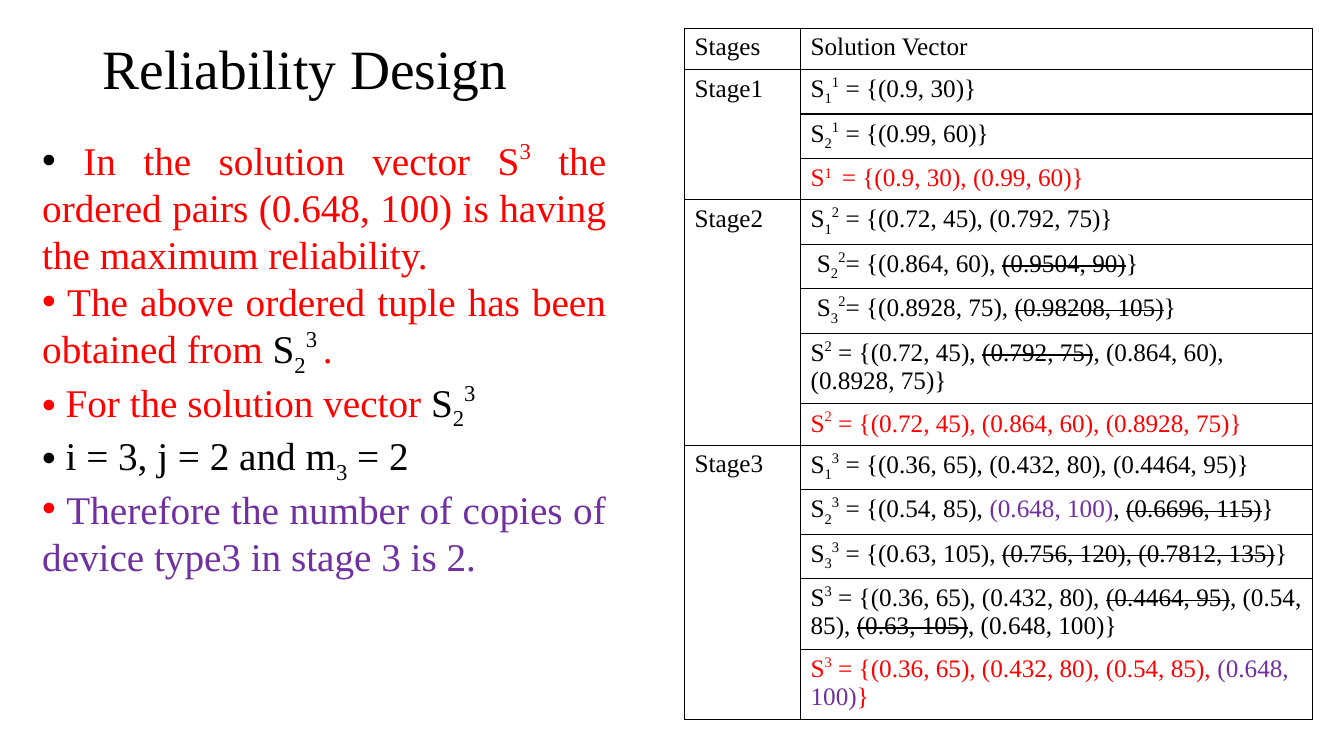
import pptx
import pptx.dml.color
import pptx.enum.text
import pptx.oxml.ns
import pptx.util
from lxml import etree

Inches = pptx.util.Inches
FONT = "Times New Roman"
COLORS = {"black": "000000", "red": "FF0000", "purple": "7030A0"}
BASELINES = {"sub": "-25000", "sup": "40000", "raised": "30000"}


def symbol(lower, upper):
    return [("S",), (lower, "black", "sub"), (upper, "black", "sup")]


def total(stage, color="black"):
    return [("S", color), (stage, color, "sup")]


TITLE = [("Reliability Design",)]

BULLETS = [
    [(" ",), ("In the solution vector S", "red"), ("3", "red", "sup"),
     (" the ordered pairs (0.648, 100) is having the maximum reliability.", "red")],
    [(" The above ordered tuple has been obtained from ", "red"),
     *symbol("2", "3 "), (". ", "red")],
    [(" For the solution vector ", "red"), *symbol("2", "3 ")],
    [(" i = 3, j = 2 and m",), ("3", "black", "sub"), (" = 2",)],
    [(" ", "red"),
     ("Therefore the number of copies of device type3 in stage 3 is 2.", "purple")],
]

HEADER = ("Stages", "Solution Vector")
STAGES = [
    ("Stage1", [
        [*symbol("1", "1"), (" = {(0.9, 30)}",)],
        [*symbol("2", "1"), (" = {(0.99, 60)}",)],
        [("S", "red"), ("1 ", "red", "raised"), (" = {(0.9, 30), (0.99, 60)}", "red")],
    ]),
    ("Stage2", [
        [*symbol("1", "2"), (" = {(0.72, 45), (0.792, 75)}",)],
        [(" ", "red"), *symbol("2", "2"), ("= {(0.864, 60), ",),
         ("(0.9504, 90)", "black", "strike"), ("}",)],
        [(" ", "red"), *symbol("3", "2"), ("= {(0.8928, 75), ",),
         ("(0.98208, 105)", "black", "strike"), ("}",)],
        [*total("2"), (" = {(0.72, 45), ",), ("(0.792, 75)", "black", "strike"),
         (", (0.864, 60), (0.8928, 75)}",)],
        [*total("2", "red"), (" = {(0.72, 45), (0.864, 60), (0.8928, 75)}", "red")],
    ]),
    ("Stage3", [
        [*symbol("1", "3"), (" = {(0.36, 65), (0.432, 80), (0.4464, 95)}",)],
        [*symbol("2", "3"), (" = {(0.54, 85), ",), ("(0.648, 100)", "purple"), (", ",),
         ("(0.6696, 115)", "black", "strike"), ("}",)],
        [*symbol("3", "3"), (" = {(0.63, 105), ",),
         ("(0.756, 120), (0.7812, 135)", "black", "strike"), ("}",)],
        [*total("3"), (" = {(0.36, 65), (0.432, 80), ",),
         ("(0.4464, 95)", "black", "strike"), (", (0.54, 85), ",),
         ("(0.63, 105)", "black", "strike"), (", (0.648, 100)}",)],
        [*total("3", "red"), (" = {(0.36, 65), (0.432, 80), (0.54, 85), ", "red"),
         ("(0.648, 100)", "purple"), ("}", "red")],
    ]),
]
COLUMN_WIDTHS = (1.15, 5.08)
ROW_HEIGHT = 0.41


def add_child(parent, tag, **attributes):
    return etree.SubElement(parent, pptx.oxml.ns.qn(tag), attributes)


def write_runs(para, runs, size):
    for text, color, style in ((*run, "black", "")[:3] if len(run) == 1
                               else (*run, "")[:3] for run in runs):
        span = para.add_run()
        span.text = text
        span.font.name = FONT
        span.font.size = pptx.util.Pt(size)
        span.font.color.rgb = pptx.dml.color.RGBColor.from_string(COLORS[color])
        properties = span._r.get_or_add_rPr()
        if style == "strike":
            properties.set("strike", "sngStrike")
        elif style:
            properties.set("baseline", BASELINES[style])


def add_box(page, left, top, width, height):
    box = page.shapes.add_textbox(*map(Inches, (left, top, width, height)))
    box.text_frame.word_wrap = True
    return box.text_frame


def add_title(page):
    frame = add_box(page, 0.92, 0.4, 5.92, 0.61)
    frame.vertical_anchor = pptx.enum.text.MSO_ANCHOR.MIDDLE
    para = frame.paragraphs[0]
    para.line_spacing = 0.9
    write_runs(para, TITLE, 39.6)


def add_bullets(page):
    frame = add_box(page, 0.32, 1.3, 5.79, 4.91)
    for index, runs in enumerate(BULLETS):
        para = frame.add_paragraph() if index else frame.paragraphs[0]
        para.alignment = pptx.enum.text.PP_ALIGN.JUSTIFY
        properties = para._p.get_or_add_pPr()
        add_child(properties, "a:buFont", typeface="Arial")
        add_child(properties, "a:buChar", char="•")
        write_runs(para, runs, 28)


def style_cell(cell):
    properties = cell._tc.get_or_add_tcPr()
    for side in ("a:lnL", "a:lnR", "a:lnT", "a:lnB"):
        border = add_child(properties, side, w=str(pptx.util.Pt(1)))
        fill = add_child(border, "a:solidFill")
        add_child(fill, "a:srgbClr", val=COLORS["black"])
    cell.fill.background()


def add_solution_table(page):
    count = 1 + sum(len(vectors) for _, vectors in STAGES)
    table = page.shapes.add_table(
        count, 2, Inches(6.79), Inches(0.28),
        Inches(sum(COLUMN_WIDTHS)), Inches(count * ROW_HEIGHT)).table
    table.first_row = False
    table.horz_banding = False
    for column, width in zip(table.columns, COLUMN_WIDTHS):
        column.width = Inches(width)
    for row in table.rows:
        row.height = Inches(ROW_HEIGHT)
    for cell in table.iter_cells():
        style_cell(cell)

    def fill_cell(row, column, runs):
        write_runs(table.cell(row, column).text_frame.paragraphs[0], runs, 18)

    for column, label in enumerate(HEADER):
        fill_cell(0, column, [(label,)])
    first = 1
    for stage, vectors in STAGES:
        last = first + len(vectors) - 1
        table.cell(first, 0).merge(table.cell(last, 0))
        fill_cell(first, 0, [(stage,)])
        for row, runs in enumerate(vectors, first):
            fill_cell(row, 1, runs)
        first = last + 1


def main():
    deck = pptx.Presentation()
    deck.slide_width, deck.slide_height = Inches(13.33), Inches(7.5)
    page = deck.slides.add_slide(deck.slide_layouts[6])
    add_title(page)
    add_solution_table(page)
    add_bullets(page)
    deck.save("out.pptx")


if __name__ == "__main__":
    main()
